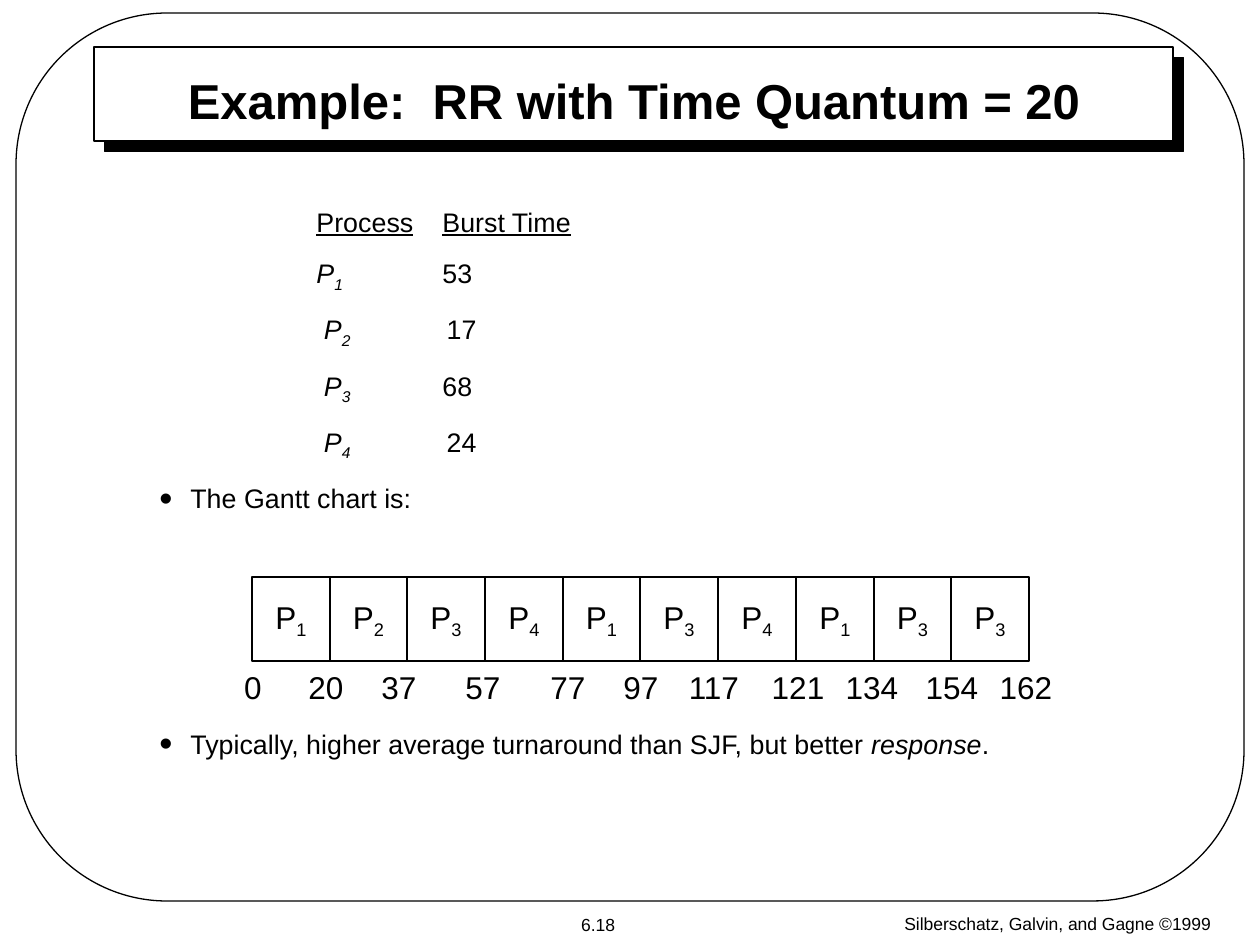
from lxml import etree
from pptx import Presentation
from pptx import util as u
from pptx.dml import color
from pptx.enum import shapes, text
from pptx.oxml import ns

EMU_PER_PX = 914400 / 126
FONT = "Arial"
BLACK, WHITE = "000000", "FFFFFF"
CENTER, MIDDLE = text.PP_ALIGN.CENTER, text.MSO_ANCHOR.MIDDLE
ITALIC, UNDERLINE, SUBSCRIPT = {"italic": True}, {"underline": True}, {"baseline": -25000}


def px(length):
    return u.Emu(round(length * EMU_PER_PX))


def rgb(value):
    return color.RGBColor.from_string(value)


def set_all(target, values):
    for name, value in values.items():
        setattr(target, name, value)


def add_xml(parent, tag, **attributes):
    element = etree.SubElement(parent, ns.qn(tag))
    for name, value in attributes.items():
        element.set(name, str(value))
    return element


def add_runs(paragraph, runs, size, **shared):
    """Add (text, format) pairs as runs; "baseline" shifts a run up or down."""
    for words, extra in runs:
        run = paragraph.add_run()
        run.text = words
        values = {"name": FONT, "size": u.Pt(size), **shared, **extra}
        baseline = values.pop("baseline", None)
        set_all(run.font, values)
        run.font.color.rgb = rgb(BLACK)
        if baseline:
            run._r.get_or_add_rPr().set("baseline", str(baseline))


def add_label(parent, box, runs, size, frame_format=None, **shared):
    """Add a text box with one centred line."""
    label = parent.add_textbox(*map(px, box))
    set_all(label.text_frame, {"word_wrap": False, **(frame_format or {})})
    paragraph = label.text_frame.paragraphs[0]
    paragraph.alignment = CENTER
    add_runs(paragraph, runs, size, **shared)


def add_outline(parent, preset, box, fill=None):
    """Add a thin black outline, filled only when a fill is given."""
    shape = parent.add_shape(preset, *map(px, box))
    shape.shadow.inherit = False
    shape.line.color.rgb = rgb(BLACK)
    shape.line.width = u.Pt(0.75)
    if fill:
        shape.fill.solid()
        shape.fill.fore_color.rgb = rgb(fill)
    else:
        shape.fill.background()
    return shape


def add_title(slide, box):
    banner = add_outline(slide.shapes, shapes.MSO_SHAPE.RECTANGLE, box, WHITE)
    effects = banner._element.spPr.find(ns.qn("a:effectLst"))
    shadow = add_xml(effects, "a:outerShdw", dist=u.Pt(8.5), dir=45 * 60000,
                     algn="ctr", rotWithShape=0)
    add_xml(shadow, "a:srgbClr", val=BLACK)
    left, top, width, height = box
    add_label(slide.shapes, (left + 66, top + 21, width - 131, height - 31),
              [("Example:  RR with Time Quantum = 20", {})], 28,
              {"vertical_anchor": MIDDLE}, bold=True)


def add_footer(slide, box):
    left, top, width, height = box
    add_label(slide.shapes, (left + 319, top, width - 319, height),
              [("Silberschatz, Galvin, and Gagne ©1999", {})], 10)
    add_label(slide.shapes, (left, top, 118, 34), [("6.18", {})], 10,
              {"vertical_anchor": MIDDLE})


def add_page_frame(slide, box):
    frame = add_outline(slide.shapes, shapes.MSO_SHAPE.ROUNDED_RECTANGLE, box)
    frame.adjustments[0] = 0.17


def add_paragraphs(slide, box, rows, gaps):
    """Add a text box with one paragraph per row of runs and return the paragraphs."""
    frame = slide.shapes.add_textbox(*map(px, box)).text_frame
    frame.word_wrap = True
    for index, (runs, gap) in enumerate(zip(rows, gaps)):
        paragraph = frame.add_paragraph() if index else frame.paragraphs[0]
        if index:
            paragraph.space_before = u.Pt(gap)
        add_runs(paragraph, runs, 15.3)
    return frame.paragraphs


def add_burst_times(slide, box, column_width):
    processes = [("P", "1\t", "53"), (" P", "2\t ", "17"),
                 (" P", "3\t", "68"), (" P", "4\t ", "24")]
    rows = [[("Process", UNDERLINE), ("\t", {}), ("Burst Time", UNDERLINE)]]
    rows += [[(name, ITALIC), (number, ITALIC | SUBSCRIPT), (burst, {})]
             for name, number, burst in processes]
    for paragraph in add_paragraphs(slide, box, rows, [11.2] * len(rows)):
        tabs = add_xml(paragraph._p.get_or_add_pPr(), "a:tabLst")
        add_xml(tabs, "a:tab", pos=px(column_width), algn="l")


def add_bullets(slide, box, chart_gap):
    rows = [[("The Gantt chart is:", {})],
            [("Typically, higher average turnaround than SJF, but better ", {}),
             ("response", ITALIC), (".", {})]]
    for paragraph in add_paragraphs(slide, box, rows, [0, chart_gap]):
        properties = paragraph._p.get_or_add_pPr()
        properties.set("marL", str(px(31)))
        properties.set("indent", str(-px(31)))
        add_xml(add_xml(properties, "a:buClr"), "a:srgbClr", val=BLACK)
        add_xml(properties, "a:buSzPct", val=140000)
        add_xml(properties, "a:buFont", typeface=FONT)
        add_xml(properties, "a:buChar", char="•")


def add_gantt_chart(slide, box):
    left, top, width, height = box
    slots = "1234134133"
    edges = [left + round(width * index / len(slots)) for index in range(len(slots) + 1)]
    group = slide.shapes.add_group_shape()
    for process, start, end in zip(slots, edges, edges[1:]):
        cell = add_outline(group.shapes, shapes.MSO_SHAPE.RECTANGLE,
                           (start, top, end - start, height), WHITE)
        set_all(cell.text_frame, {"word_wrap": False, "vertical_anchor": MIDDLE})
        paragraph = cell.text_frame.paragraphs[0]
        paragraph.alignment = CENTER
        add_runs(paragraph, [("P", {}), (process, SUBSCRIPT)], 18)

    time_centers = {0: 1, 20: 74, 37: 147, 57: 231, 77: 316, 97: 389,
                    117: 462, 121: 546, 134: 620, 154: 700, 162: 774}
    label_width = 100
    for time, center in time_centers.items():
        add_label(slide.shapes,
                  (left + center - label_width // 2, top + height, label_width, 51),
                  [(str(time), {})], 18, {"vertical_anchor": MIDDLE})


def main():
    presentation = Presentation()
    presentation.slide_width, presentation.slide_height = px(1260), px(945)
    slide = presentation.slides.add_slide(presentation.slide_layouts[6])
    add_title(slide, (94, 47, 1079, 94))
    add_footer(slide, (539, 907, 718, 38))
    add_page_frame(slide, (16, 13, 1228, 888))
    add_burst_times(slide, (304, 199, 400, 274), 126)
    add_bullets(slide, (147, 476, 969, 290), 122)
    add_gantt_chart(slide, (252, 577, 777, 84))
    presentation.save("out.pptx")


if __name__ == "__main__":
    main()
